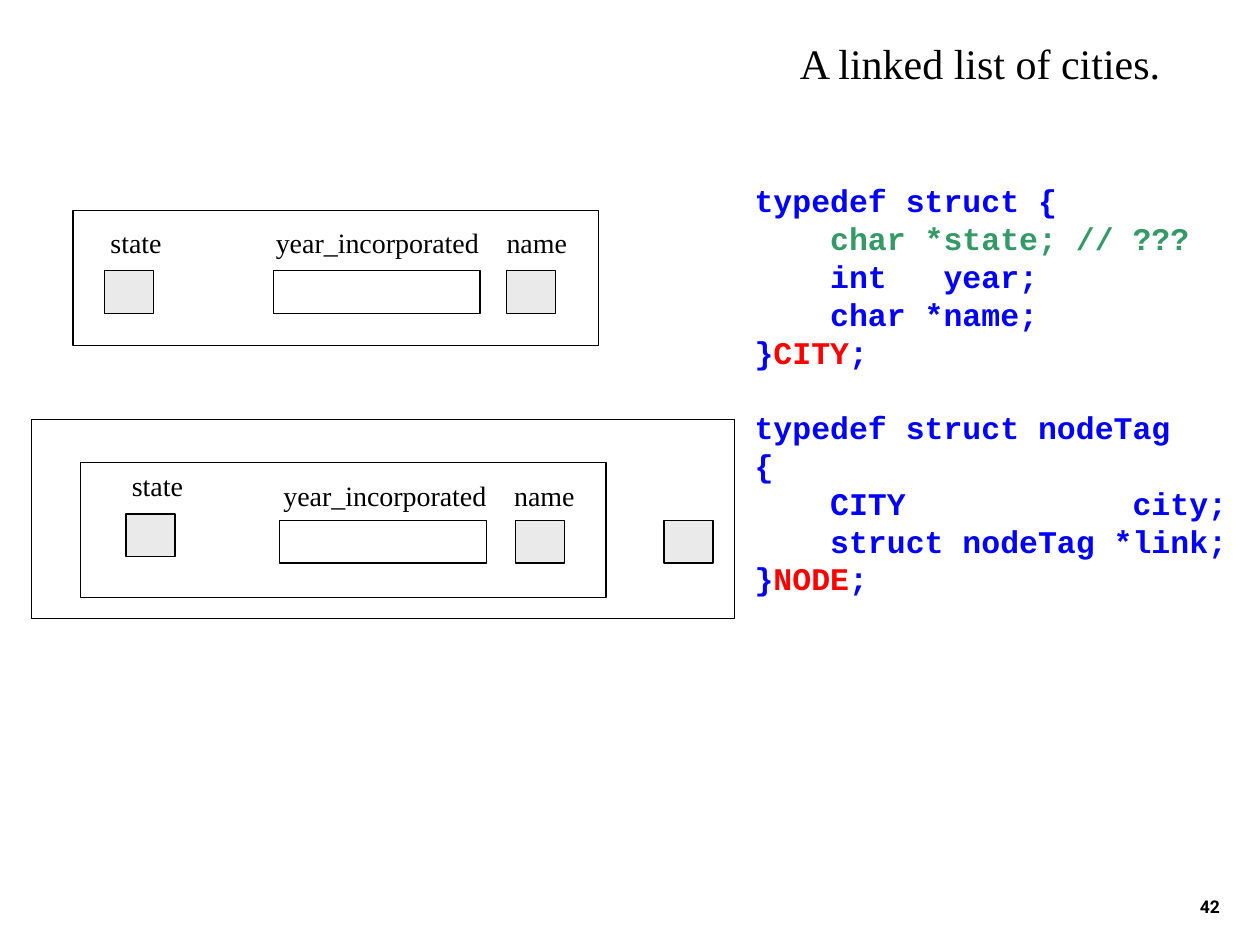
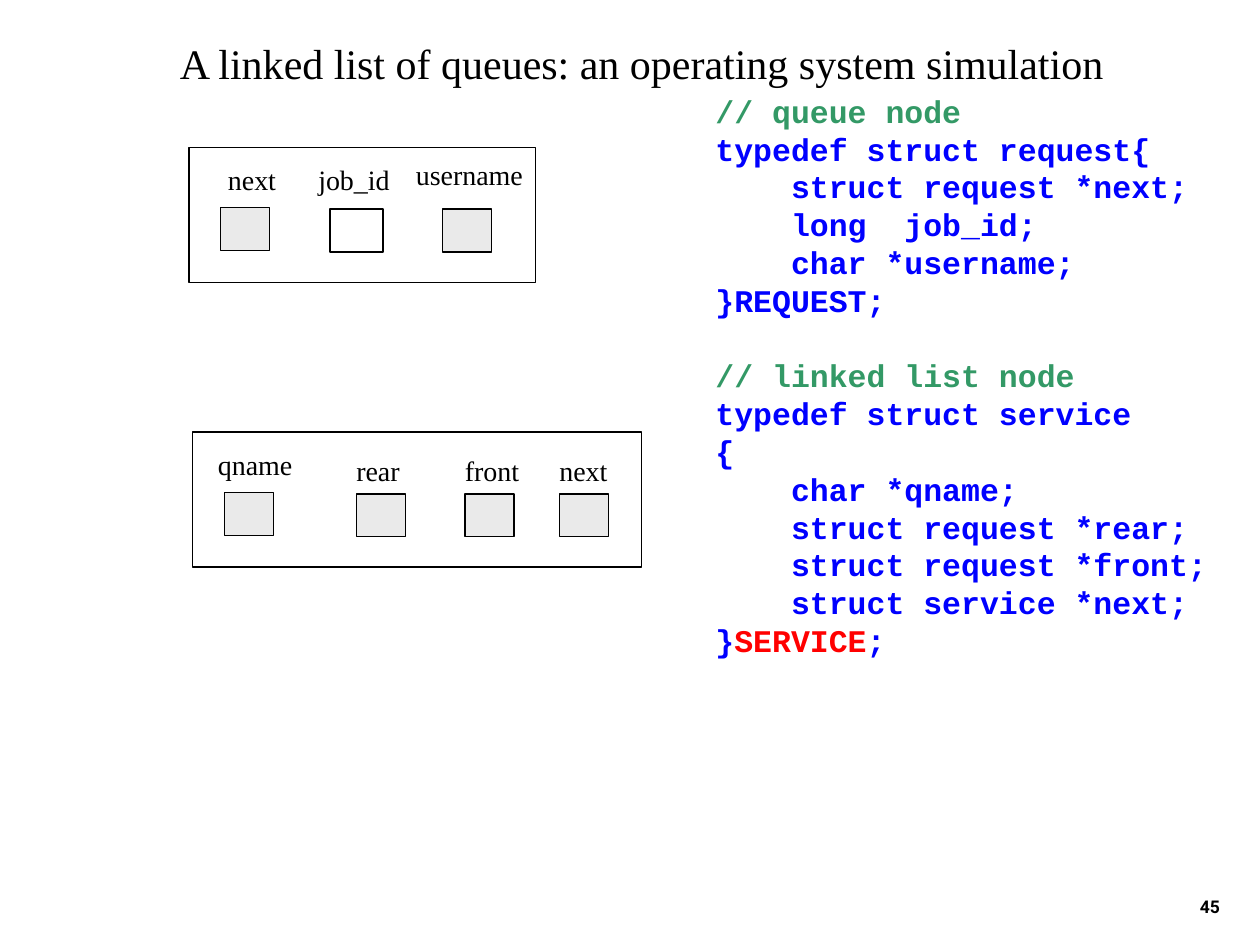
import pptx
import pptx.util
import pptx.dml.color
import pptx.enum.shapes
import pptx.enum.text

Inches = pptx.util.Inches
Pt = pptx.util.Pt
PP_ALIGN = pptx.enum.text.PP_ALIGN
ANCHOR = pptx.enum.text.MSO_ANCHOR

BLACK, WHITE, POINTER_GRAY = "000000", "FFFFFF", "EAEAEA"
CODE_BLUE, CODE_GREEN, CODE_RED = "0000FF", "339966", "FF0000"
SERIF, MONO, FOOTER_FONT = "Times New Roman", "Courier New", "Roboto"
CODE_PITCH = Pt(21.6)
FIELD_HEIGHT, POINTER_WIDTH, RECORD_HEIGHT = 0.34, 0.39, 1.07
LABEL_WIDTHS = {
    "state": 0.6, "year_incorporated": 1.81, "name": 0.68,
    "next": 0.58, "job_id": 0.76, "username": 1.05,
    "qname": 0.79, "rear": 0.54, "front": 0.63,
}

CITY_CODE = """typedef struct {
    char *state; // ???
    int   year;
    char *name;
}CITY;

typedef struct nodeTag
{
    CITY            city;
    struct nodeTag *link;
}NODE;"""

QUEUE_CODE = """// queue node
typedef struct request{
    struct request *next;
    long  job_id;
    char *username;
}REQUEST;

// linked list node
typedef struct service
{
    char *qname;
    struct request *rear;
    struct request *front;
    struct service *next;
}SERVICE;"""


def rgb(value):
    return pptx.dml.color.RGBColor.from_string(value)


class Deck:
    def __init__(self):
        self.prs = pptx.Presentation()
        self.prs.slide_width = Inches(10)
        self.prs.slide_height = Inches(7.5)
        self.s = None

    def slide(self, title, title_left, title_width, number):
        self.s = self.prs.slides.add_slide(self.prs.slide_layouts[6])
        self.text(title, title_left, 0.25, title_width, 0.5, 24)
        self.text(number, 7.7, 6.83, 2.08, 0.5, 10, FOOTER_FONT, PP_ALIGN.RIGHT,
                  bold=True, anchor=ANCHOR.BOTTOM, wrap=True)

    def frame(self, left, top, width, height, anchor=ANCHOR.TOP, wrap=False,
              side_margin=0.1):
        box = self.s.shapes.add_textbox(
            Inches(left), Inches(top), Inches(width), Inches(height))
        tf = box.text_frame
        tf.word_wrap = wrap
        tf.vertical_anchor = anchor
        tf.margin_left = tf.margin_right = Inches(side_margin)
        return tf

    def style(self, p, size, font, bold):
        p.font.size = Pt(size)
        p.font.name = font
        p.font.bold = bold

    def text(self, text, left, top, width, height, size, font=SERIF,
             align=PP_ALIGN.LEFT, bold=False, anchor=ANCHOR.TOP, wrap=False,
             side_margin=0.1):
        tf = self.frame(left, top, width, height, anchor, wrap, side_margin)
        p = tf.paragraphs[0]
        p.text = text
        p.alignment = align
        self.style(p, size, font, bold)
        p.font.color.rgb = rgb(BLACK)

    def code(self, source, left, top, width, height, red_names):
        tf = self.frame(left, top, width, height)
        p = tf.paragraphs[0]
        for block_index, block in enumerate(source.split("\n\n")):
            for line_index, line in enumerate(block.split("\n")):
                if block_index or line_index:
                    p = tf.add_paragraph()
                if block_index and not line_index:
                    p.space_before = CODE_PITCH
                p.line_spacing = CODE_PITCH
                self.style(p, 18, MONO, True)
                self.code_line(p, line, red_names)

    def code_line(self, p, line, red_names):
        name = line.strip("};")
        if name in red_names:
            parts = [("}", CODE_BLUE), (name, CODE_RED), (";", CODE_BLUE)]
        else:
            parts = [(line, CODE_GREEN if "//" in line else CODE_BLUE)]
        for text, color in parts:
            r = p.add_run()
            r.text = text
            r.font.color.rgb = rgb(color)

    def box(self, left, top, width, height, fill=WHITE):
        sp = self.s.shapes.add_shape(
            pptx.enum.shapes.MSO_SHAPE.RECTANGLE,
            Inches(left), Inches(top), Inches(width), Inches(height))
        sp.shadow.inherit = False
        sp.fill.solid()
        sp.fill.fore_color.rgb = rgb(fill)
        sp.line.color.rgb = rgb(BLACK)
        sp.line.width = Pt(0.75)

    def pointer(self, left, top):
        self.box(left, top, POINTER_WIDTH, FIELD_HEIGHT, POINTER_GRAY)

    def label(self, name, left, top):
        self.text(name, left, top, LABEL_WIDTHS[name], 0.37, 16,
                  align=PP_ALIGN.CENTER, side_margin=0)

    def pointer_field(self, name, label_left, label_top, left, top):
        self.label(name, label_left, label_top)
        self.pointer(left, top)

    def value_field(self, name, label_left, label_top, left, top, width):
        self.label(name, label_left, label_top)
        self.box(left, top, width, FIELD_HEIGHT)


def cities_slide(deck):
    deck.slide("A linked list of cities.", 6.25, 3.08, "42")
    deck.code(CITY_CODE, 5.89, 1.39, 3.95, 3.69, {"CITY", "NODE"})

    deck.box(0.58, 1.67, 4.17, RECORD_HEIGHT)
    deck.pointer_field("state", 0.78, 1.74, 0.83, 2.15)
    deck.value_field("year_incorporated", 2.09, 1.74, 2.17, 2.15, 1.64)
    deck.pointer_field("name", 3.92, 1.74, 4.02, 2.15)

    deck.box(0.25, 3.33, 5.58, 1.58)
    deck.box(0.64, 3.67, 4.17, RECORD_HEIGHT)
    deck.pointer_field("state", 0.95, 3.67, 1, 4.08)
    deck.value_field("year_incorporated", 2.15, 3.75, 2.22, 4.13, 1.64)
    deck.pointer_field("name", 3.98, 3.75, 4.09, 4.13)
    deck.pointer(5.27, 4.13)


def queues_slide(deck):
    deck.slide("A linked list of queues: an operating system simulation",
               1.33, 7.55, "45")
    deck.code(QUEUE_CODE, 5.58, 0.68, 4.1, 4.9, {"SERVICE"})

    deck.box(1.5, 1.17, 2.75, RECORD_HEIGHT)
    deck.pointer_field("next", 1.71, 1.24, 1.75, 1.65)
    deck.value_field("job_id", 2.43, 1.24, 2.62, 1.66, 0.42)
    deck.pointer_field("username", 3.2, 1.2, 3.51, 1.66)

    deck.box(1.53, 3.43, 3.56, RECORD_HEIGHT)
    deck.pointer_field("qname", 1.63, 3.5, 1.78, 3.91)
    for name, label_left, left in (("rear", 2.73, 2.83), ("front", 3.59, 3.69),
                                   ("next", 4.34, 4.44)):
        deck.pointer_field(name, label_left, 3.55, left, 3.92)


def main():
    deck = Deck()
    cities_slide(deck)
    queues_slide(deck)
    deck.prs.save("out.pptx")


if __name__ == "__main__":
    main()
